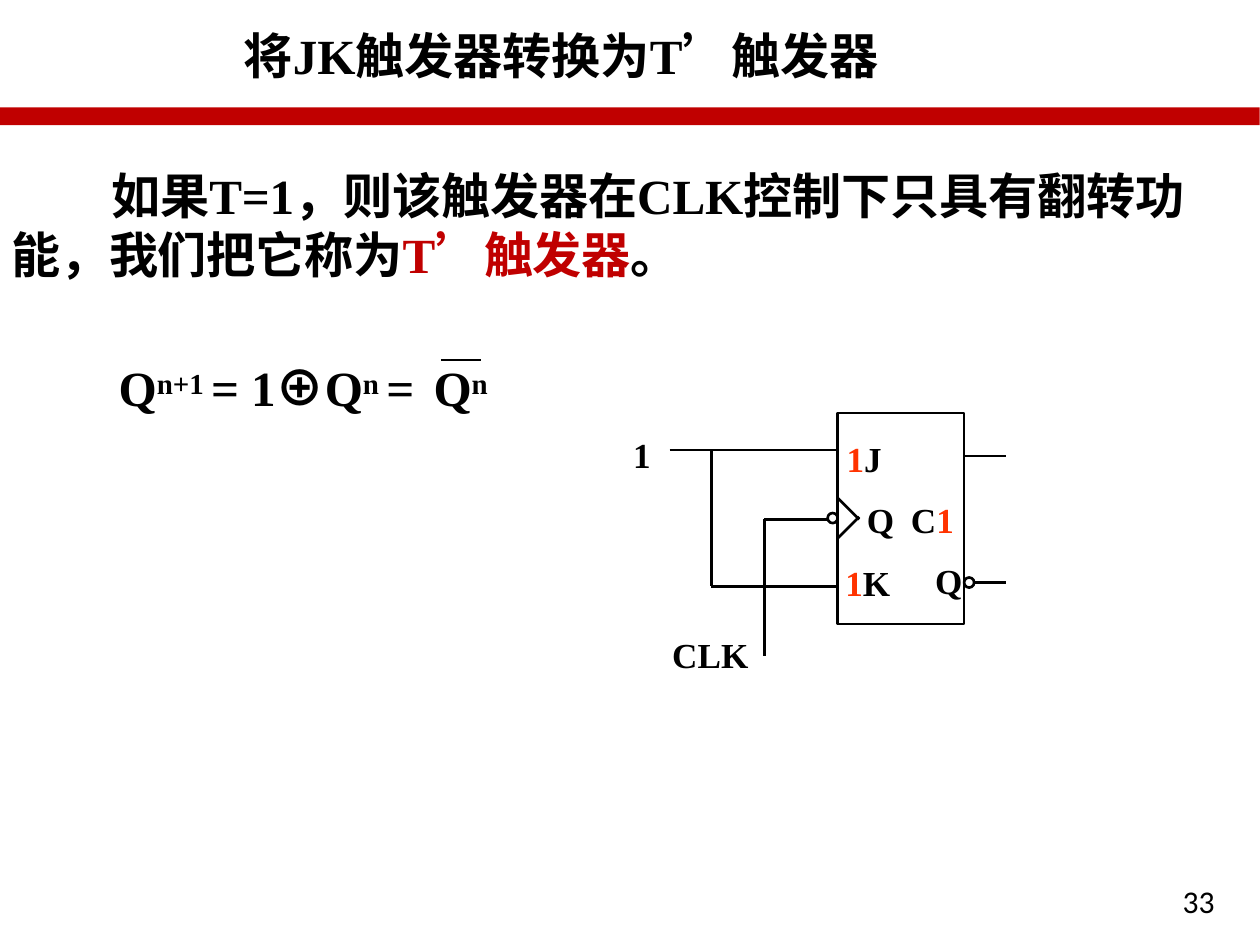
from pptx import Presentation
from pptx.dml.color import RGBColor
from pptx.enum.shapes import MSO_CONNECTOR as Connector, MSO_SHAPE as Shape
from pptx.oxml.ns import qn
from pptx.util import Inches, Pt
from lxml import etree

COLORS = {"black": "000000", "red": "C00000", "orange": "FF3300"}
LATIN, CHINESE, SYMBOL = "Times New Roman", "Noto Sans CJK TC", "Noto Sans CJK JP"


def color(name):
    return RGBColor.from_string(COLORS[name])


def add_text(page, left, top, width, height, spans, size=28, bold=True,
             latin=LATIN, indent=0):
    """Add one paragraph; each span is (text, changes to its format)."""
    box = page.shapes.add_textbox(*map(Inches, (left, top, width, height)))
    frame = box.text_frame
    frame.word_wrap = True
    frame.margin_left = frame.margin_right = 0
    frame.margin_top = frame.margin_bottom = 0
    para = frame.paragraphs[0]
    para._p.get_or_add_pPr().set("indent", str(Inches(indent)))
    for text, changes in spans:
        span = para.add_run()
        span.text = text
        font = span.font
        font.size, font.bold = Pt(changes.get("size", size)), bold
        font.name = changes.get("latin", latin)
        font.color.rgb = color(changes.get("color", "black"))
        props = span._r.get_or_add_rPr()
        east_asian = etree.SubElement(props, qn("a:ea"))
        east_asian.set("typeface", changes.get("chinese", CHINESE))
        for key in ("baseline", "spc"):
            if key in changes:
                props.set(key, str(changes[key]))


def add_line(page, x1, y1, x2, y2):
    line = page.shapes.add_connector(
        Connector.STRAIGHT, *map(Inches, (x1, y1, x2, y2)))
    line.line.color.rgb = color("black")
    line.line.width = Pt(1.5)
    etree.SubElement(line._element.spPr, qn("a:effectLst"))


def add_outline(page, kind, left, top, width, height):
    shape = page.shapes.add_shape(kind, *map(Inches, (left, top, width, height)))
    shape.shadow.inherit = False
    shape.fill.background()
    shape.line.color.rgb = color("black")
    shape.line.width = Pt(1.5)


def add_header(page, left, top, width):
    bar = page.shapes.add_shape(
        Shape.RECTANGLE, *map(Inches, (left, top + 0.85, width, 0.14)))
    bar.shadow.inherit = False
    bar.fill.solid()
    bar.fill.fore_color.rgb = color("red")
    bar.line.fill.background()
    add_text(page, left + 1.93, top + 0.2, width - 2, 0.5,
             [("将JK触发器转换为T’触发器", {})])


def add_statement(page, left, top, width):
    add_text(page, left, top, width, 1, [
        ("如果T=1，则该触发器在CLK控制下只具有翻转功", {"spc": -5}),
        (" ", {"spc": 700}),
        ("能，我们把它称为", {"spc": -10}),
        ("T’触发器", {"color": "red", "spc": -10}),
        ("。", {}),
    ], indent=0.79)


def add_equation(page, left, top):
    raised = {"size": 28.5, "baseline": 23000}
    add_text(page, left, top, 3.2, 0.6, [
        ("Q", {}), ("n+1 ", raised), ("= 1", {}),
        ("⊕", {"latin": SYMBOL, "chinese": SYMBOL}),
        ("Q", {}), ("n ", raised), ("= ", {"spc": 200}),
        ("Q", {}), ("n", raised),
    ])
    add_line(page, left + 2.55, top + 0.03, left + 2.87, top + 0.03)


def add_circuit(page, left, top):
    """Draw the flip-flop with its block's corner at left, top."""
    width, height, bubble = 1, 1.67, 0.08
    j_wire, clock, k_wire = 0.29, 0.84, 1.37
    q_wire, inverted_q = 0.34, 1.34
    branch, clock_drop, wire_end = -1, -0.58, 1.33

    add_outline(page, Shape.RECTANGLE, left, top, width, height)
    for x, y in ((-bubble, clock - 0.01), (width, inverted_q)):
        add_outline(page, Shape.OVAL, left + x, top + y - bubble / 2,
                    bubble, bubble)

    wires = [
        (-1.33, j_wire, 0, j_wire),
        (branch, j_wire, branch, k_wire),
        (branch, k_wire, 0, k_wire),
        (clock_drop, clock, -bubble, clock),
        (clock_drop, clock, clock_drop, 1.92),
        (width, q_wire, wire_end, q_wire),
        (width + bubble, inverted_q, wire_end, inverted_q),
        (0, clock - 0.17, 0.17, clock),
        (0.17, clock - 0.02, 0, clock + 0.15),
    ]
    for x1, y1, x2, y2 in wires:
        add_line(page, left + x1, top + y1, left + x2, top + y2)

    one = ("1", {"color": "orange"})
    labels = [
        (-1.62, 0.16, [("1", {})]),
        (0.07, 0.19, [one, ("J", {})]),
        (0.23, 0.67, [("Q", {})]),
        (0.58, 0.67, [("C", {}), one]),
        (0.06, 1.17, [one, ("K", {})]),
        (0.77, 1.16, [("Q", {})]),
        (-1.31, 1.74, [("CLK", {})]),
    ]
    for x, y, spans in labels:
        add_text(page, left + x, top + y, 0.65, 0.35, spans, size=20)


def main():
    deck = Presentation()
    deck.slide_width = Pt(718)
    deck.slide_height = Pt(539)
    page = deck.slides.add_slide(deck.slide_layouts[6])
    add_header(page, 0, 0, 9.97)
    add_statement(page, 0.09, 1.31, 9.31)
    add_equation(page, 0.94, 2.82)
    add_circuit(page, 6.63, 3.27)
    add_text(page, 9.36, 6.98, 0.42, 0.3, [("33", {})],
             size=18, bold=False, latin="Calibri")
    deck.save("out.pptx")


if __name__ == "__main__":
    main()
